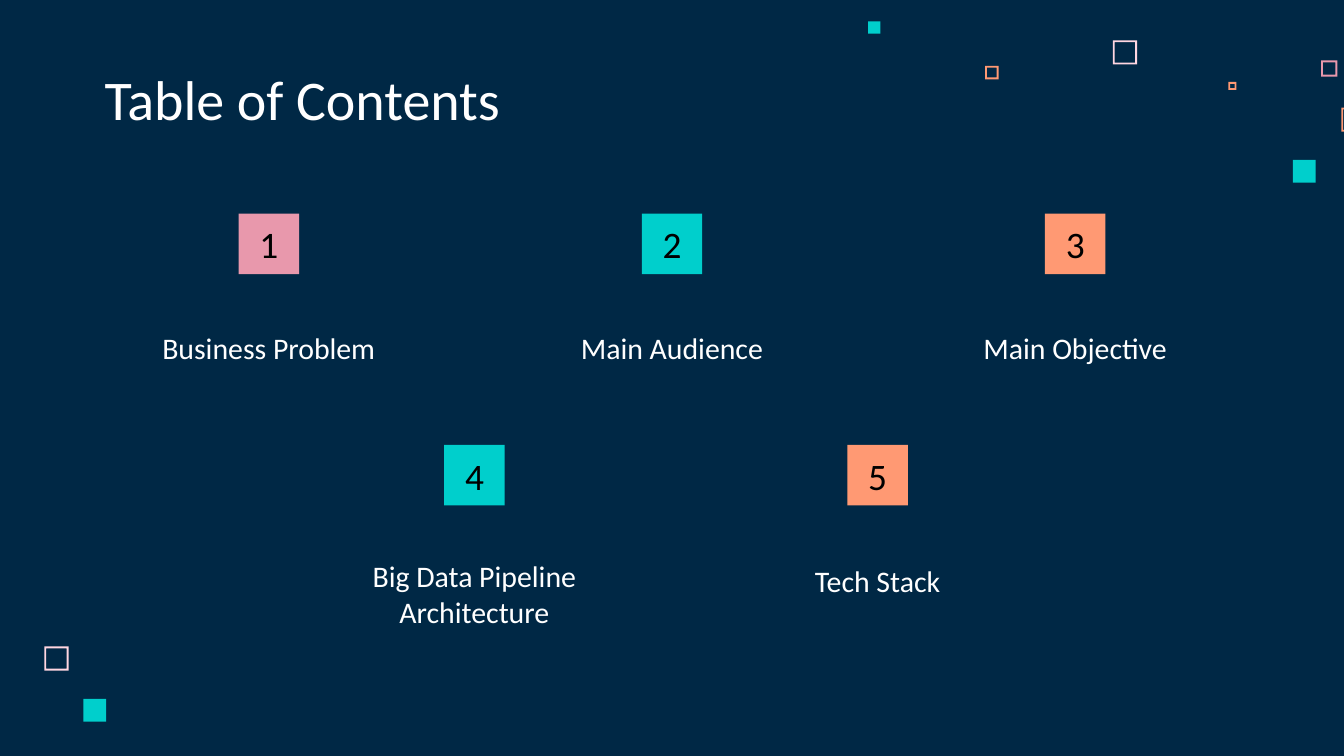
from pptx import Presentation
from pptx.dml.color import RGBColor
from pptx.enum.shapes import MSO_SHAPE
from pptx.enum.text import MSO_ANCHOR, PP_ALIGN
from pptx.util import Inches, Pt

COLORS = {
    "navy": "002845", "white": "FFFFFF", "black": "000000", "blush": "FFD6E1",
    "pink": "E898AC", "orange": "FF9973", "teal": "00CFCC",
}
FONT = "Calibri"
TITLE = "Table of Contents"
SLIDE_WIDTH = 10
SLIDE_HEIGHT = SLIDE_WIDTH * 9 / 16

# Each row: centre of its first topic, top of tiles, top of labels, topics
ROWS = [
    (2, 1.59, 2.32, [
        ("1", "Business Problem", "pink", MSO_ANCHOR.BOTTOM),
        ("2", "Main Audience", "teal", MSO_ANCHOR.BOTTOM),
        ("3", "Main Objective", "orange", MSO_ANCHOR.BOTTOM),
    ]),
    (3.53, 3.31, 4.05, [
        ("4", "Big Data Pipeline Architecture", "teal", MSO_ANCHOR.TOP),
        ("5", "Tech Stack", "orange", MSO_ANCHOR.BOTTOM),
    ]),
]
COLUMN_STEP = 3
TILE_SIZE = 0.45
LABEL_WIDTH, LABEL_HEIGHT = 2.06, 0.5

# Decorative squares: left, top, size, colour
FRAMES = [
    (8.28, 0.3, 0.18, "blush"),
    (9.83, 0.45, 0.12, "pink"),
    (9.14, 0.61, 0.06, "orange"),
    (9.98, 0.8, 0.18, "orange"),
    (7.33, 0.49, 0.1, "orange"),
    (0.33, 4.81, 0.18, "blush"),
]
FRAME_THICKNESS = Pt(1)
SOLIDS = [
    (9.62, 1.19, 0.17, "teal"),
    (6.46, 0.16, 0.09, "teal"),
    (0.62, 5.2, 0.17, "teal"),
]


def rgb(name):
    return RGBColor.from_string(COLORS[name])


def add_square(page, left, top, size, color, kind=MSO_SHAPE.RECTANGLE):
    square = page.shapes.add_shape(
        kind, Inches(left), Inches(top), Inches(size), Inches(size))
    square.shadow.inherit = False
    square.fill.solid()
    square.fill.fore_color.rgb = rgb(color)
    square.line.fill.background()
    return square


def write(shape, text, size, color, anchor, align):
    frame = shape.text_frame
    frame.word_wrap = True
    frame.vertical_anchor = anchor
    frame.margin_left = frame.margin_right = Inches(0.1)
    frame.margin_top = frame.margin_bottom = Inches(0.1)
    para = frame.paragraphs[0]
    para.text = text
    para.alignment = align
    para.font.name = FONT
    para.font.size = Pt(size)
    para.font.color.rgb = rgb(color)


def add_text(page, left, top, width, height, *style):
    box = page.shapes.add_textbox(
        Inches(left), Inches(top), Inches(width), Inches(height))
    write(box, *style)


def add_decoration(page):
    for left, top, size, color in FRAMES:
        square = add_square(page, left, top, size, color, MSO_SHAPE.FRAME)
        square.adjustments[0] = FRAME_THICKNESS / Inches(size)
    for solid in SOLIDS:
        add_square(page, *solid)


def add_topics(page):
    for first_center, tile_top, label_top, topics in ROWS:
        for column, (number, label, color, anchor) in enumerate(topics):
            center = first_center + column * COLUMN_STEP
            add_text(page, center - LABEL_WIDTH / 2, label_top,
                     LABEL_WIDTH, LABEL_HEIGHT,
                     label, 16, "white", anchor, PP_ALIGN.CENTER)
            tile = add_square(page, center - TILE_SIZE / 2, tile_top,
                              TILE_SIZE, color)
            write(tile, number, 20, "black", MSO_ANCHOR.MIDDLE, PP_ALIGN.CENTER)


def main():
    deck = Presentation()
    deck.slide_width, deck.slide_height = Inches(SLIDE_WIDTH), Inches(SLIDE_HEIGHT)
    page = deck.slides.add_slide(deck.slide_layouts[6])
    page.background.fill.solid()
    page.background.fill.fore_color.rgb = rgb("navy")
    add_decoration(page)
    add_text(page, 0.68, 0.45, 5.17, 0.63,
             TITLE, 30, "white", MSO_ANCHOR.BOTTOM, PP_ALIGN.LEFT)
    add_topics(page)
    deck.save("out.pptx")


if __name__ == "__main__":
    main()
